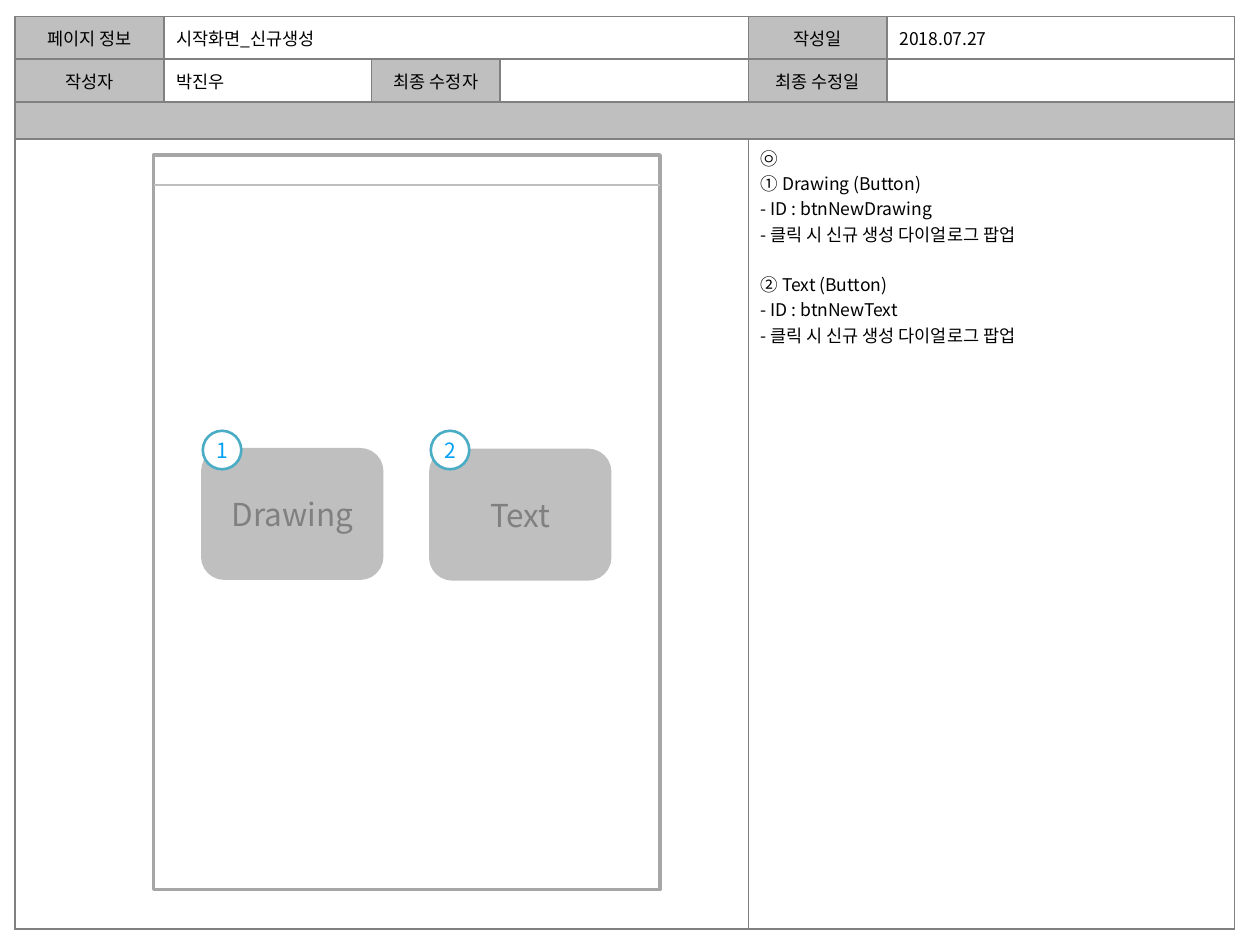
from lxml.etree import SubElement
from pptx import Presentation
from pptx.dml.color import RGBColor
from pptx.enum.shapes import MSO_CONNECTOR, MSO_SHAPE
from pptx.enum.text import MSO_ANCHOR, PP_ALIGN
from pptx.oxml.ns import qn
from pptx.util import Pt

FONT = "Noto Sans CJK KR"
BLACK, WHITE, SILVER = "000000", "FFFFFF", "BFBFBF"
GRAY, FRAME_GRAY = "808080", "A6A6A6"
TEAL, BLUE = "4BACC6", "00A0F5"

COLUMNS = [85, 118.8, 73.4, 141.8, 79.2, 198.7]
ROWS = [24.5, 24.5, 21.2, 451.4]
MERGES = [((0, 1), (0, 3)), ((2, 0), (2, 5)), ((3, 0), (3, 3)), ((3, 4), (3, 5))]
LABELS = {
    (0, 0): "페이지 정보", (0, 4): "작성일",
    (1, 0): "작성자", (1, 2): "최종 수정자", (1, 4): "최종 수정일",
    (2, 0): "",
}
VALUES = {(0, 1): "시작화면_신규생성", (0, 5): "2018.07.27", (1, 1): "박진우"}
NOTES = [
    ("㉧", 0),
    ("① Drawing (Button)", 0),
    ("- ID : btnNewDrawing", 0),
    ("- 클릭 시 신규 생성 다이얼로그 팝업", 0),
    ("② Text (Button)", 14.5),
    ("- ID : btnNewText", 0),
    ("- 클릭 시 신규 생성 다이얼로그 팝업", 0),
]
BUTTONS = [("Drawing", 115.9, 257), ("Text", 246.2, 257.4)]

FRAME_LEFT, FRAME_TOP, FRAME_WIDTH, FRAME_HEIGHT = 87.8, 88.6, 289.4, 419.8
TITLE_LINE_Y = 105.8
BADGE_TOP, BADGE_SIZE = 246.2, 22

CENTERED = {"vertical_anchor": MSO_ANCHOR.MIDDLE, "word_wrap": True}
BADGE_FRAME = {
    "vertical_anchor": MSO_ANCHOR.MIDDLE, "word_wrap": False,
    "margin_left": Pt(4.3), "margin_right": Pt(4.3),
    "margin_top": Pt(2.9), "margin_bottom": Pt(2.9),
}


def color(value):
    return RGBColor.from_string(value)


def apply_format(target, values):
    for name, value in values.items():
        setattr(target, name, value)


def write(paragraph, text, size, ink, align=PP_ALIGN.LEFT, before=0):
    apply_format(paragraph, {"alignment": align, "space_before": Pt(before)})
    run = paragraph.add_run()
    run.text = text
    apply_format(run.font, {"name": FONT, "size": Pt(size)})
    run.font.color.rgb = color(ink)
    SubElement(run.font._element, qn("a:ea"), typeface=FONT)


def paint(fill, value):
    if value is None:
        fill.background()
    else:
        fill.solid()
        fill.fore_color.rgb = color(value)


def stroke(line, value, width):
    line.color.rgb = color(value)
    line.width = Pt(width)


def add_box(slide, preset, bounds, fill, outline, width):
    box = slide.shapes.add_shape(preset, *map(Pt, bounds))
    box.shadow.inherit = False
    paint(box.fill, fill)
    stroke(box.line, outline, width)
    return box


def add_labeled_box(slide, preset, bounds, look, label, lettering, frame):
    box = add_box(slide, preset, bounds, *look)
    apply_format(box.text_frame, frame)
    write(box.text_frame.paragraphs[0], label, *lettering, PP_ALIGN.CENTER)


def add_rule(slide, left, right, y):
    rule = slide.shapes.add_connector(
        MSO_CONNECTOR.STRAIGHT, Pt(left), Pt(y), Pt(right), Pt(y))
    stroke(rule.line, SILVER, 1.5)
    SubElement(rule._element.spPr, qn("a:effectLst"))


def style_cell(cell, fill):
    properties = cell._tc.get_or_add_tcPr()
    for side in ("lnL", "lnR", "lnT", "lnB"):
        border = SubElement(properties, qn(f"a:{side}"), w=str(Pt(1)))
        solid = SubElement(border, qn("a:solidFill"))
        SubElement(solid, qn("a:srgbClr"), val=GRAY)
    paint(cell.fill, fill)


def add_page_table(slide):
    table = slide.shapes.add_table(
        len(ROWS), len(COLUMNS), Pt(8.64), Pt(9.36),
        Pt(sum(COLUMNS)), Pt(sum(ROWS))).table
    apply_format(table, {"first_row": False, "horz_banding": False})
    for column, width in zip(table.columns, COLUMNS):
        column.width = Pt(width)
    for row, height in zip(table.rows, ROWS):
        row.height = Pt(height)
    for start, end in MERGES:
        table.cell(*start).merge(table.cell(*end))
    for r in range(len(ROWS)):
        for c in range(len(COLUMNS)):
            cell = table.cell(r, c)
            style_cell(cell, SILVER if (r, c) in LABELS else None)
            paragraph = cell.text_frame.paragraphs[0]
            text = LABELS.get((r, c)) or VALUES.get((r, c))
            if text:
                align = PP_ALIGN.CENTER if (r, c) in LABELS else PP_ALIGN.LEFT
                write(paragraph, text, 10, BLACK, align)
            elif (r, c) != (3, 4):
                SubElement(paragraph._p, qn("a:endParaRPr"), sz="1000")
            if r < 3:
                cell.vertical_anchor = MSO_ANCHOR.MIDDLE
    add_notes(table.cell(3, 4).text_frame)


def add_notes(frame):
    for index, (text, before) in enumerate(NOTES):
        paragraph = frame.add_paragraph() if index else frame.paragraphs[0]
        write(paragraph, text, 10, BLACK, before=before)


def add_wireframe(slide):
    add_box(slide, MSO_SHAPE.RECTANGLE,
            (FRAME_LEFT, FRAME_TOP, FRAME_WIDTH, FRAME_HEIGHT), None, FRAME_GRAY, 2)
    for label, left, top in BUTTONS:
        add_labeled_box(slide, MSO_SHAPE.ROUNDED_RECTANGLE, (left, top, 102.2, 73.4),
                        (SILVER, SILVER, 2), label, (18, GRAY), CENTERED)
    add_rule(slide, FRAME_LEFT, FRAME_LEFT + FRAME_WIDTH, TITLE_LINE_Y)
    for number, (label, left, top) in enumerate(BUTTONS, 1):
        add_labeled_box(slide, MSO_SHAPE.OVAL, (left, BADGE_TOP, BADGE_SIZE, BADGE_SIZE),
                        (WHITE, TEAL, 1.5), str(number), (12, BLUE), BADGE_FRAME)


def main():
    presentation = Presentation()
    apply_format(presentation, {"slide_width": Pt(720), "slide_height": Pt(540)})
    slide = presentation.slides.add_slide(presentation.slide_layouts[6])
    add_page_table(slide)
    add_wireframe(slide)
    presentation.save("out.pptx")


main()
